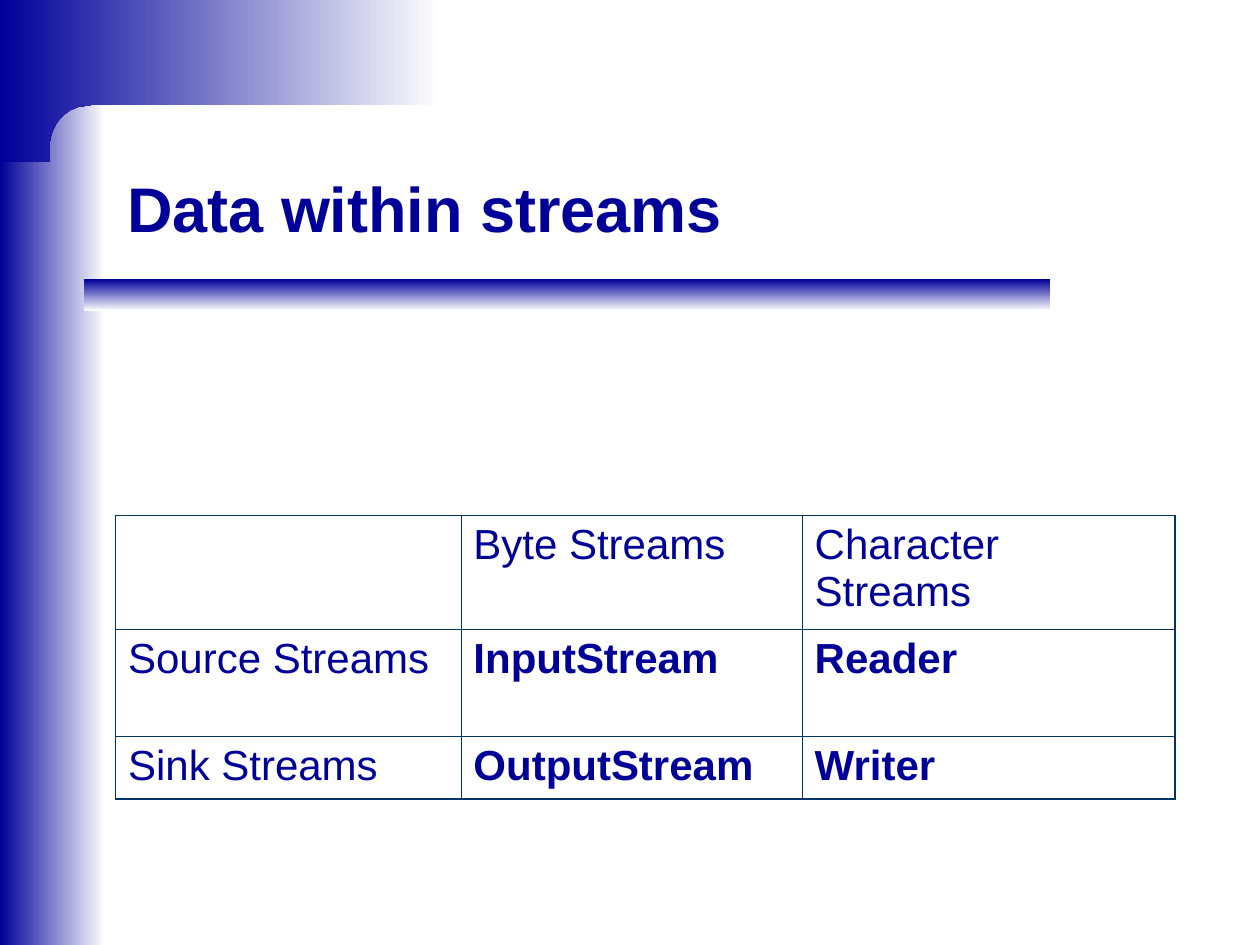
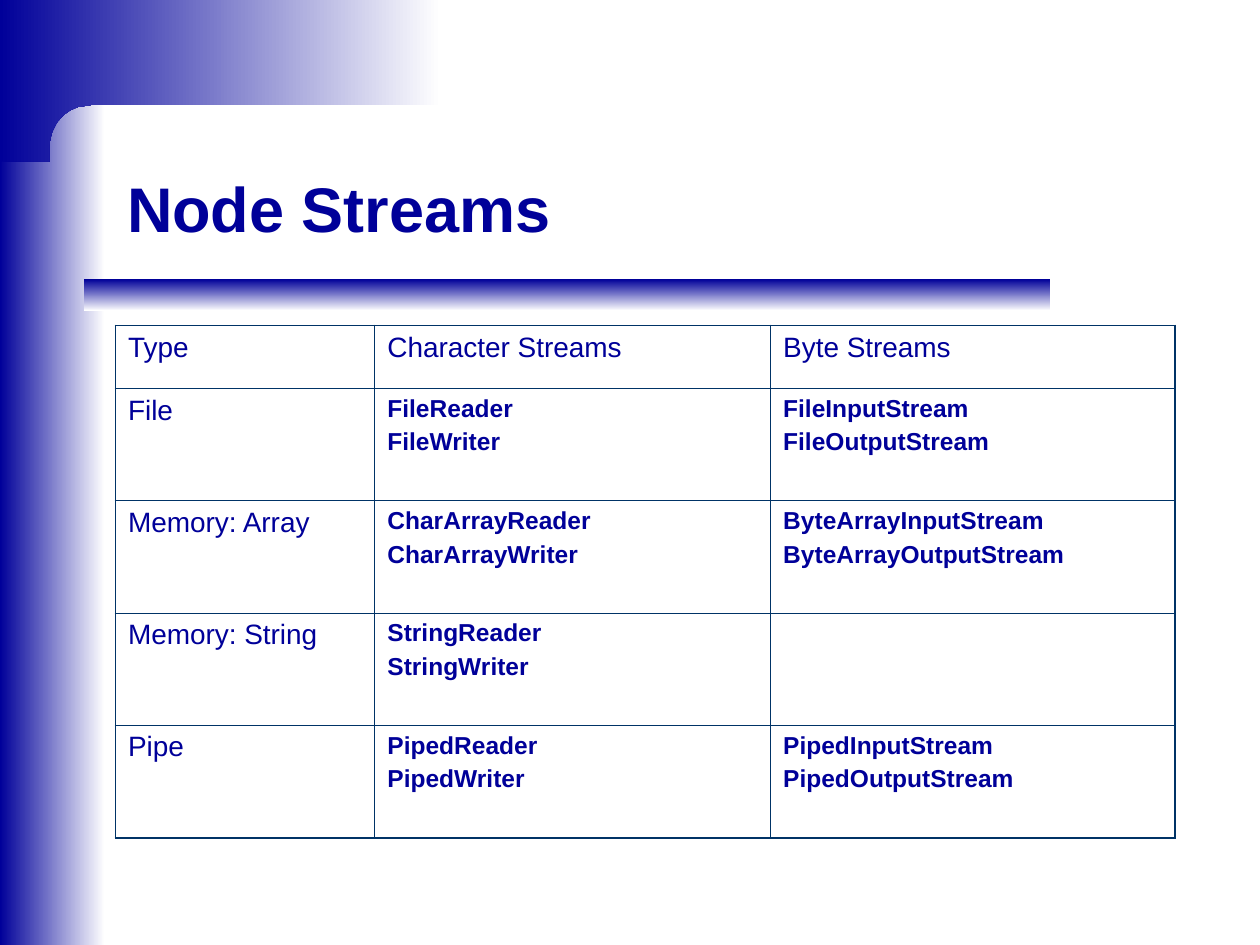
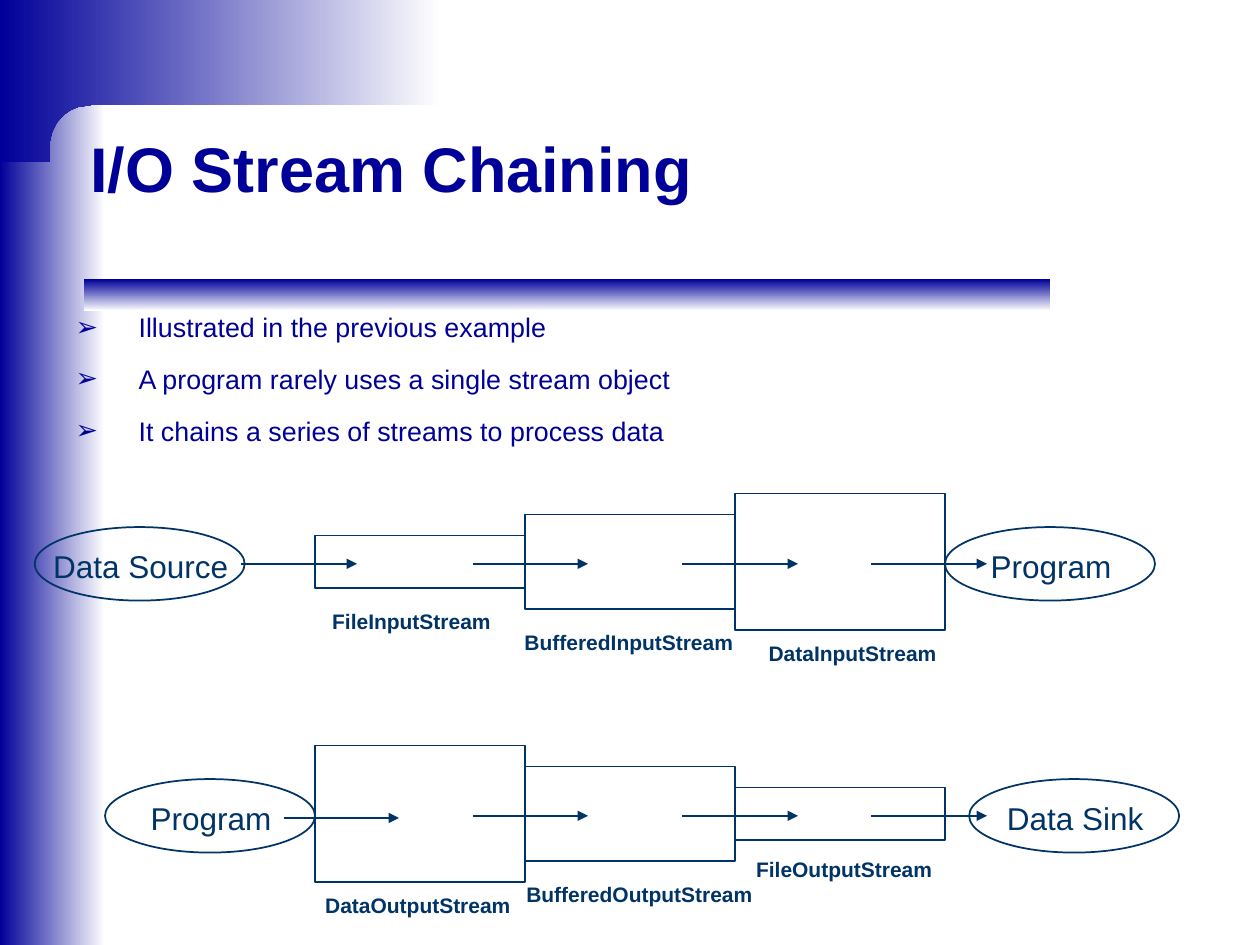
from lxml import etree
from pptx import Presentation
from pptx.dml.color import RGBColor
from pptx.enum.shapes import MSO_CONNECTOR, MSO_SHAPE
from pptx.enum.text import MSO_ANCHOR, MSO_AUTO_SIZE, PP_ALIGN
from pptx.oxml.ns import qn
from pptx.util import Emu, Inches, Pt

RECT, ELLIPSE = MSO_SHAPE.RECTANGLE, MSO_SHAPE.OVAL
STRAIGHT = MSO_CONNECTOR.STRAIGHT
LEFT, CENTER = PP_ALIGN.LEFT, PP_ALIGN.CENTER
TOP, BOTTOM = MSO_ANCHOR.TOP, MSO_ANCHOR.BOTTOM
NO_FIT = MSO_AUTO_SIZE.NONE

BLUE = RGBColor(0x00, 0x00, 0x99)
NAVY = RGBColor(0x00, 0x33, 0x66)
WHITE = RGBColor(0xFF, 0xFF, 0xFF)
FONT = "Arial"
OUTER, INNER = Pt(1.08), Pt(0.45)
RIGHTWARD, DOWNWARD = 0, 270

# The slide is a grid of 12 columns and 9 rows of square units
SLIDE_W, SLIDE_H = Inches(10), Inches(7.5)
COLUMNS, ROWS = 12, 9
UNIT = SLIDE_W / COLUMNS

# Outline of the corner band, in grid units
CORNER = [(4.2, 0), (4.2, 1), (0.87, 1), (0.74, 1.02), (0.67, 1.05), (0.6, 1.1),
          (0.54, 1.17), (0.5, 1.25), (0.48, 1.32), (0.47, 1.39), (0.47, 1.54),
          (0, 1.54), (0, 0)]
TITLE_BOX = (1.09, 1.09, 10.21, 1.31)


def grid(*lengths):
    return [Emu(round(length * UNIT)) for length in lengths]


def write(frame, lines, size=18, bold=False, color=BLUE, align=LEFT, anchor=TOP,
          before=0, spacing=1.0, wrap=True):
    frame.word_wrap = wrap
    frame.vertical_anchor = anchor
    frame.text = "\n".join(lines)
    for paragraph in frame.paragraphs:
        paragraph.alignment = align
        paragraph.space_before = Pt(before)
        paragraph.line_spacing = spacing
        font = paragraph.font
        font.name, font.size, font.bold = FONT, Pt(size), bold
        font.color.rgb = color


def place(shape, box):
    shape.left, shape.top, shape.width, shape.height = grid(*box)


def fade(shape, angle):
    shape.shadow.inherit = False
    shape.line.fill.background()
    shape.fill.gradient()
    shape.fill.gradient_angle = angle
    for stop, color, position in zip(shape.fill.gradient_stops, (BLUE, WHITE), (0, 1)):
        stop.color.rgb = color
        stop.position = position


def move_bands_to_master(slide, master):
    """Draw the gradient bands once and let every slide inherit them."""
    side = slide.shapes.add_shape(RECT, *grid(0, 0, 1, ROWS))
    outline = [grid(*point) for point in CORNER]
    builder = slide.shapes.build_freeform(*outline[0], scale=1.0)
    builder.add_line_segments(outline[1:], close=True)
    corner = builder.convert_to_shape()
    rule = slide.shapes.add_shape(RECT, *grid(0.8, 2.66, 9.2, 0.3))
    bands = ((side, RIGHTWARD), (corner, RIGHTWARD), (rule, DOWNWARD))
    for index, (band, angle) in enumerate(bands):
        fade(band, angle)
        band.element.nvSpPr.cNvPr.set("id", str(100 + index))
        master.shapes.element.insert(2 + index, band.element)


def add_titled_slide(prs, layout, heading, box=TITLE_BOX):
    slide = prs.slides.add_slide(layout)
    title = slide.shapes.title
    place(title, box)
    write(title.text_frame, [heading], size=36, bold=True, anchor=BOTTOM, spacing=0.9)
    title.text_frame.auto_size = NO_FIT
    return slide


def set_borders(cell, widths):
    properties = cell._tc.get_or_add_tcPr()
    for side, width in zip(("lnL", "lnR", "lnT", "lnB"), widths):
        line = etree.SubElement(properties, qn("a:" + side), w=str(width))
        fill = etree.SubElement(line, qn("a:solidFill"))
        etree.SubElement(fill, qn("a:srgbClr"), val=str(NAVY))


def add_stream_table(slide, left, top, widths, heights, rows, size, class_size):
    """Row and column headings are plain; class names are bold."""
    frame = slide.shapes.add_table(len(rows), len(widths),
                                   *grid(left, top, sum(widths), sum(heights)))
    table = frame.table
    table.first_row = table.horz_banding = False
    for column, width in zip(table.columns, grid(*widths)):
        column.width = width
    for row, height in zip(table.rows, grid(*heights)):
        row.height = height
    last_row, last_column = len(rows) - 1, len(widths) - 1
    for r, row in enumerate(rows):
        for c, lines in enumerate(row):
            cell = table.cell(r, c)
            edges = (c == 0, c == last_column, r == 0, r == last_row)
            set_borders(cell, [OUTER if edge else INNER for edge in edges])
            cell.fill.background()
            is_class = r > 0 and c > 0
            text_size = class_size if is_class else size
            write(cell.text_frame, lines, size=text_size, bold=is_class,
                  before=text_size / 4)


def add_bullets(slide, box, lines):
    body = slide.placeholders[1]
    place(body, box)
    write(body.text_frame, lines, size=15.3, before=11.2)
    body.text_frame.auto_size = NO_FIT
    for paragraph in body.text_frame.paragraphs:
        properties = paragraph._p.get_or_add_pPr()
        properties.set("marL", str(Inches(0.5)))
        properties.set("indent", str(-Inches(0.5)))
        color = etree.SubElement(properties, qn("a:buClr"))
        etree.SubElement(color, qn("a:srgbClr"), val=str(BLUE))
        etree.SubElement(properties, qn("a:buFont"), typeface=FONT)
        etree.SubElement(properties, qn("a:buChar"), char="➢")


def add_outline(slide, preset, center, middle, width, height):
    shape = slide.shapes.add_shape(
        preset, *grid(center - width / 2, middle - height / 2, width, height))
    shape.shadow.inherit = False
    shape.fill.background()
    shape.line.color.rgb = NAVY
    shape.line.width = Pt(1)


def add_label(slide, text, center, top, width, height, **style):
    box = slide.shapes.add_textbox(*grid(center - width / 2, top, width, height))
    write(box.text_frame, [text], color=NAVY, align=CENTER, wrap=False, **style)


def add_arrow(slide, start, middle, length=1.1):
    arrow = slide.shapes.add_connector(
        STRAIGHT, *grid(start, middle, start + length, middle))
    arrow.line.color.rgb = NAVY
    arrow.line.width = Pt(1)
    etree.SubElement(arrow.line._get_or_add_ln(), qn("a:tailEnd"), type="triangle")
    etree.SubElement(arrow.element.spPr, qn("a:effectLst"))


def add_chain(slide, left, middle, pipes, ends, arrows):
    """Pipes are (name, height, label centre, label gap, label width)."""
    pipe_width = 2
    for index, (name, height, label_center, gap, label_width) in enumerate(pipes):
        center = left + pipe_width * (index + 0.5)
        add_outline(slide, RECT, center, middle, pipe_width, height)
        add_label(slide, name, left + label_center, middle + height / 2 + gap,
                  label_width, 0.36, size=12, bold=True)
    for name, offset, width in ends:
        add_outline(slide, ELLIPSE, left + offset, middle + 0.02, 2, 0.7)
        add_label(slide, name, left + offset + 0.01, middle - 0.2, width, 0.48)
    for start, drop in arrows:
        add_arrow(slide, left + start, middle + drop)


def main():
    prs = Presentation()
    prs.slide_width, prs.slide_height = SLIDE_W, SLIDE_H
    title_only, title_and_body = prs.slide_layouts[5], prs.slide_layouts[1]

    # Stream classes by direction and data
    data = add_titled_slide(prs, title_only, "Data within streams")
    move_bands_to_master(data, prs.slide_master)
    add_stream_table(data, 1.1, 4.91, (3.29, 3.25, 3.55), (1.08, 1.02, 0.6), [
        ([], ["Byte Streams"], ["Character Streams"]),
        (["Source Streams"], ["InputStream"], ["Reader"]),
        (["Sink Streams"], ["OutputStream"], ["Writer"]),
    ], size=24, class_size=24)

    # Node streams by type
    nodes = add_titled_slide(prs, title_only, "Node Streams")
    add_stream_table(nodes, 1.1, 3.1, (2.47, 3.77, 3.85), [0.6] + [1.07] * 4, [
        (["Type"], ["Character Streams"], ["Byte Streams"]),
        (["File"], ["FileReader", "FileWriter"],
         ["FileInputStream", "FileOutputStream"]),
        (["Memory: Array"], ["CharArrayReader", "CharArrayWriter"],
         ["ByteArrayInputStream", "ByteArrayOutputStream"]),
        (["Memory: String"], ["StringReader", "StringWriter"], []),
        (["Pipe"], ["PipedReader", "PipedWriter"],
         ["PipedInputStream", "PipedOutputStream"]),
    ], size=16, class_size=14)

    # Chained streams: input above, output below
    chaining = add_titled_slide(prs, title_and_body, "I/O Stream Chaining",
                                (0.74, 1.44, 10.74, 0.58))
    add_bullets(chaining, (0.6, 2.9, 10.2, 1.4), [
        "Illustrated in the previous example",
        "A program rarely uses a single stream object",
        "It chains a series of streams to process data",
    ])
    small, medium, large = 0.5, 0.9, 1.3
    shared_arrows = [(1.5, 0.02), (3.5, 0.02), (5.3, 0.02)]
    add_chain(chaining, 3, 5.35, [
        ("FileInputStream", small, 0.92, 0.14, 1.85),
        ("BufferedInputStream", medium, 2.99, 0.14, 2.35),
        ("DataInputStream", large, 5.12, 0.04, 1.95),
    ], [("Data Source", -1.67, 2), ("Program", 7, 1.5)],
        [(-0.7, 0.02)] + shared_arrows)
    add_chain(chaining, 3, 7.75, [
        ("DataOutputStream", large, 0.98, 0.04, 2.15),
        ("BufferedOutputStream", medium, 3.09, 0.14, 2.55),
        ("FileOutputStream", small, 5.04, 0.1, 2.05),
    ], [("Program", -1, 1.5), ("Data Sink", 7.23, 1.65)],
        [(-0.3, 0.04)] + shared_arrows)

    prs.save("out.pptx")


if __name__ == "__main__":
    main()
